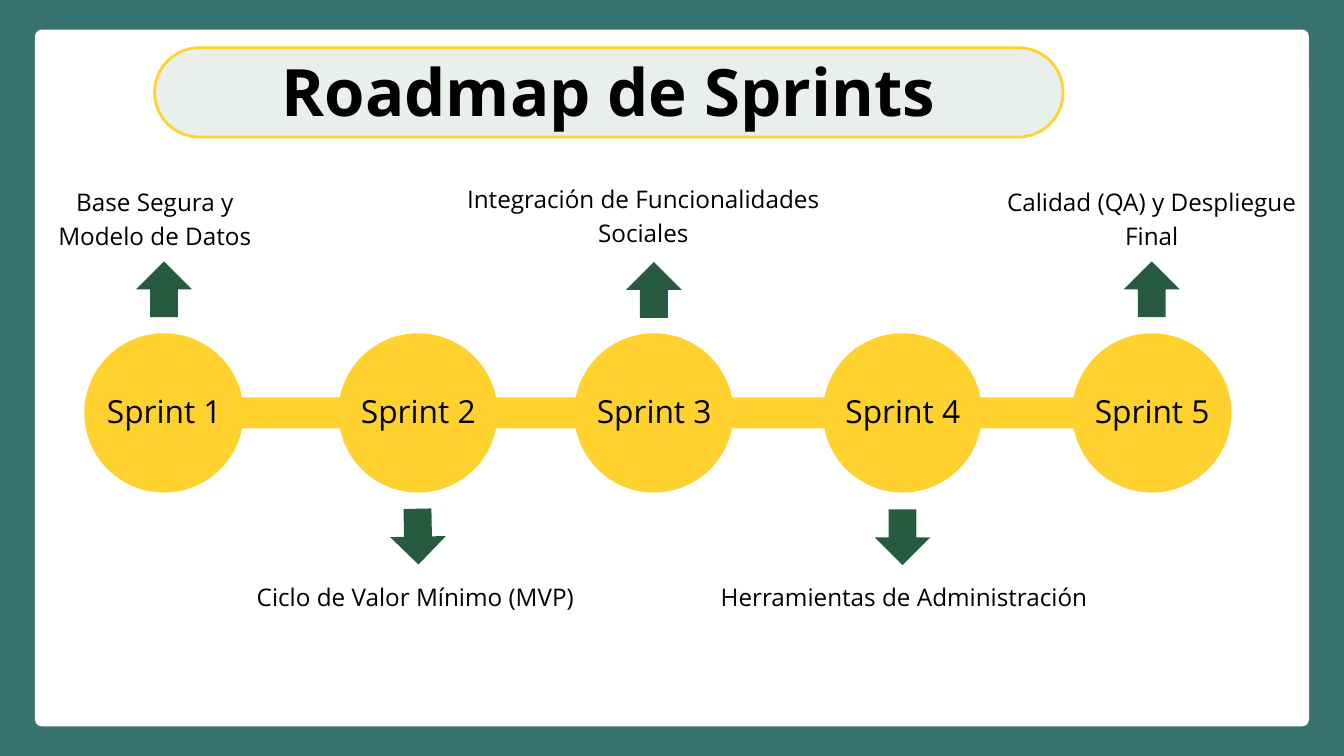
from dataclasses import dataclass

from pptx import Presentation
from pptx import util as u
from pptx.dml.color import RGBColor
from pptx.enum import shapes, text

COLORS = {
    "frame": "39736F",
    "panel": "FFFFFF",
    "yellow": "FFD230",
    "arrow": "275B40",
    "pill": "E9EFEB",
    "text": "000000",
}
FONT = "Open Sans"
LINE_RATIO = 1.4
CIRCLE, BAR_W, BAR_H, ARROW = 2.37, 3.38, 0.46, 0.83
AXIS_Y = 6.145


@dataclass
class Sprint:
    name: str
    goal: str
    center: float
    arrow_top: float
    rotation: float
    goal_box: tuple[float, float, float, float]


SPRINTS = [
    Sprint("Sprint 1", "Base Segura y Modelo de Datos", 2.44, 3.89, 0,
           (0.54, 2.71, 3.53, 0.99)),
    Sprint("Sprint 2", "Ciclo de Valor Mínimo (MVP)", 6.22, 7.57, 178.9,
           (3.82, 8.59, 4.73, 0.49)),
    Sprint("Sprint 3", "Integración de Funcionalidades Sociales", 9.73, 3.9, 0,
           (6.64, 2.67, 5.87, 0.99)),
    Sprint("Sprint 4", "Herramientas de Administración", 13.43, 7.58, 180,
           (10.41, 8.59, 6.09, 0.49)),
    Sprint("Sprint 5", "Calidad (QA) y Despliegue Final", 17.14, 3.89, 0,
           (14.91, 2.71, 4.46, 0.99)),
]
BAR_LEFTS = [3.04, 6.42, 9.79, 12.93]


def add_block(s, kind, left: float, top: float, width: float, height: float, color: str):
    sp = s.shapes.add_shape(kind, u.Inches(left), u.Inches(top),
                            u.Inches(width), u.Inches(height))
    sp.shadow.inherit = False
    sp.fill.solid()
    sp.fill.fore_color.rgb = RGBColor.from_string(COLORS[color])
    sp.line.fill.background()
    return sp


def write(tf, words: str, size: float, bold: bool = False) -> None:
    tf.margin_left = tf.margin_right = tf.margin_top = tf.margin_bottom = 0
    tf.word_wrap = True
    tf.auto_size = text.MSO_AUTO_SIZE.NONE
    tf.vertical_anchor = text.MSO_ANCHOR.TOP
    p = tf.paragraphs[0]
    p.alignment = text.PP_ALIGN.CENTER
    p.line_spacing = u.Pt(size * LINE_RATIO)
    r = p.add_run()
    r.text = words
    r.font.name = FONT
    r.font.size = u.Pt(size)
    r.font.bold = bold
    r.font.color.rgb = RGBColor.from_string(COLORS["text"])


def add_label(s, box: tuple[float, float, float, float], words: str, size: float) -> None:
    sp = s.shapes.add_textbox(*(u.Inches(v) for v in box))
    write(sp.text_frame, words, size)


def add_title(s, words: str) -> None:
    pill = add_block(s, shapes.MSO_SHAPE.ROUNDED_RECTANGLE, 2.3, 0.71, 13.52, 1.33, "pill")
    pill.adjustments[0] = 0.5
    pill.line.color.rgb = RGBColor.from_string(COLORS["yellow"])
    pill.line.width = u.Pt(3)
    title = s.shapes.title
    title.left, title.top = u.Inches(4.19), u.Inches(0.56)
    title.width, title.height = u.Inches(9.73), u.Inches(1.32)
    write(title.text_frame, words, 70, bold=True)
    pill.element.addnext(title.element)


def add_sprint(s, sprint: Sprint) -> None:
    add_block(s, shapes.MSO_SHAPE.OVAL, sprint.center - CIRCLE / 2, AXIS_Y - CIRCLE / 2,
              CIRCLE, CIRCLE, "yellow")
    arrow = add_block(s, shapes.MSO_SHAPE.UP_ARROW, sprint.center - ARROW / 2,
                      sprint.arrow_top, ARROW, ARROW, "arrow")
    arrow.rotation = sprint.rotation
    add_label(s, (sprint.center - 0.85, 5.74, 1.71, 0.63), sprint.name, 34)
    add_label(s, sprint.goal_box, sprint.goal, 26)


def main() -> None:
    prs = Presentation()
    prs.slide_width, prs.slide_height = u.Inches(20), u.Inches(11.25)
    s = prs.slides.add_slide(prs.slide_layouts[5])
    s.background.fill.solid()
    s.background.fill.fore_color.rgb = RGBColor.from_string(COLORS["frame"])

    panel = add_block(s, shapes.MSO_SHAPE.ROUNDED_RECTANGLE, 0.52, 0.44, 18.96, 10.37, "panel")
    panel.adjustments[0] = 0.01
    add_title(s, "Roadmap de Sprints")
    for left in BAR_LEFTS:
        bar = add_block(s, shapes.MSO_SHAPE.ROUNDED_RECTANGLE, left, AXIS_Y - BAR_H / 2,
                        BAR_W, BAR_H, "yellow")
        bar.adjustments[0] = 0.5
    for sprint in SPRINTS:
        add_sprint(s, sprint)

    prs.save("out.pptx")


if __name__ == "__main__":
    main()
